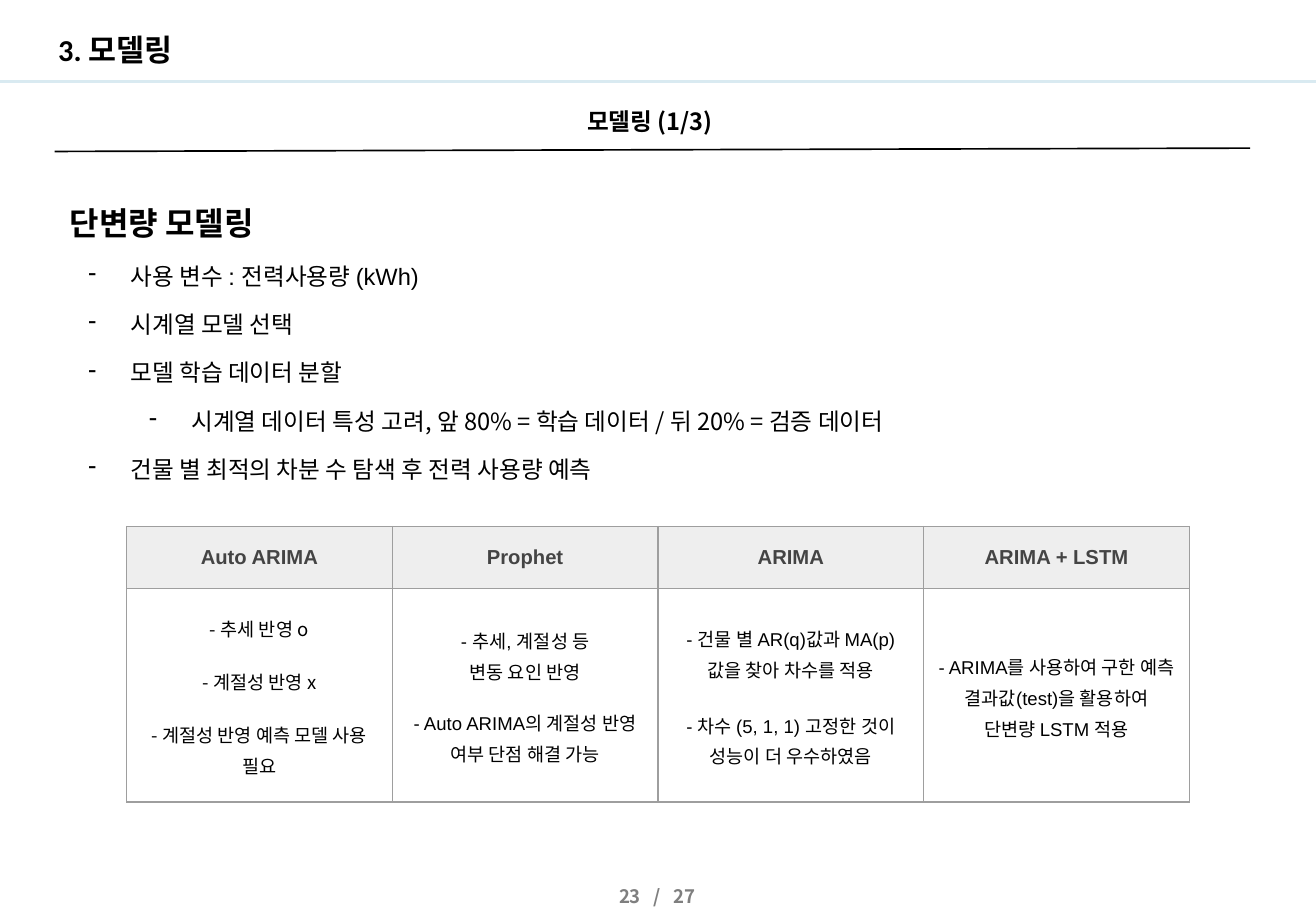
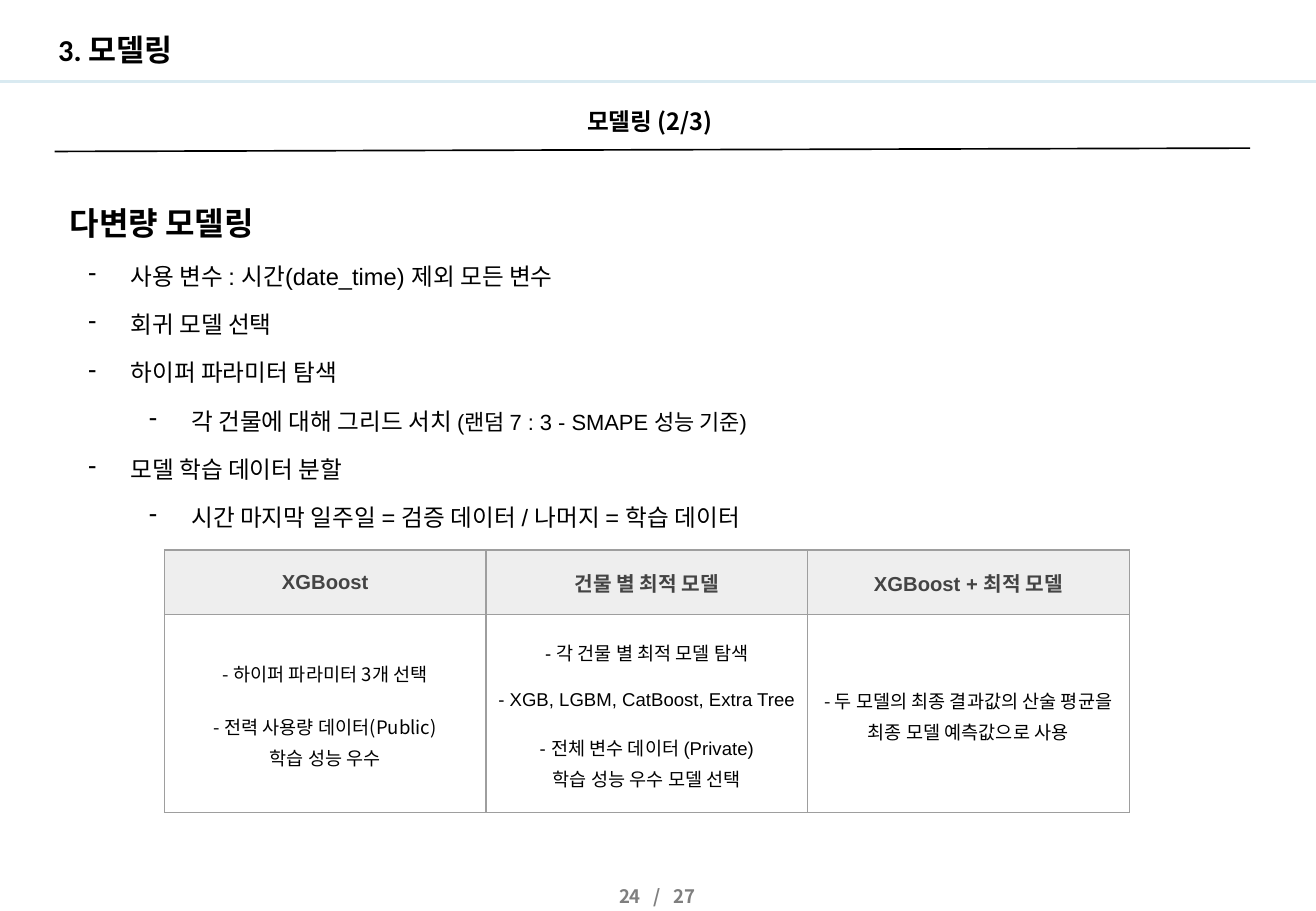
from copy import deepcopy
from dataclasses import dataclass, field
from itertools import product
from typing import NamedTuple

from lxml.etree import SubElement as Sub
from pptx import Presentation
from pptx.dml.color import RGBColor as RGB
from pptx.enum.shapes import MSO_CONNECTOR as Conn
from pptx.enum.text import MSO_ANCHOR as Anchor, PP_ALIGN as Align
from pptx.oxml.ns import qn
from pptx.util import Pt


# Theme: colours, fonts and type sizes
@dataclass(frozen=True)
class Theme:
    black: str = "000000"
    band: str = "D9EAF1"
    page: str = "7F7F7F"
    head: str = "444444"
    shade: str = "EEEEEE"
    grid: str = "9E9E9E"
    arial: str = "Arial"
    noto: str = "Noto Sans CJK KR"
    title: str = "Calibri"
    sizes: dict = field(default_factory=lambda: {
        "title": 18, "sub": 14, "topic": 19, "item": 14, "note": 13,
        "head": 12, "cell": 11, "page": 11})


T = Theme()
WIDE, HIGH = 780, 540
LAST = 27


# Text records
class Run(NamedTuple):
    text: str
    kind: str = "item"
    face: str = T.arial
    bold: bool = False
    ink: str = T.black
    track: int = 0


class Para(NamedTuple):
    runs: list[Run]
    lines: float = 1.0
    above: float = 0
    align: Align = Align.LEFT
    level: int = -1


class Box(NamedTuple):
    left: float
    top: float
    width: float
    height: float


class Grid(NamedTuple):
    left: float
    top: float
    col: float
    rows: tuple[float, float]
    heads: list[str]
    cells: list[list[Para]]


class Page(NamedTuple):
    num: int
    step: str
    topic: str
    items: list[Para]
    grid: Grid


def item(*runs: Run, level: int = 0) -> Para:
    return Para(list(runs), 1.7, level=level)


def cell(*texts: str, gap: float = 0, face: str = T.arial) -> list[Para]:
    return [Para([Run(text, "cell", face)], 1.15, gap if i else 0, Align.CENTER)
            for i, text in enumerate(texts)]


# Text writing
def put(obj, vals: dict) -> None:
    for name, val in vals.items():
        setattr(obj, name, val)


def add_run(para, run: Run) -> None:
    for i, text in enumerate(run.text.split("\n")):
        if i:
            para.add_line_break()
        bit = para.add_run()
        bit.text = text
        put(bit.font, {"name": run.face, "size": Pt(T.sizes[run.kind]),
                       "bold": run.bold})
        bit.font.color.rgb = RGB.from_string(run.ink)
        props = bit.font._element
        Sub(props, qn("a:ea"), typeface=T.noto)
        if run.track:
            props.set("spc", str(run.track))
        if i:
            para._p.findall(qn("a:br"))[-1].insert(0, deepcopy(props))


def add_dash(para, level: int) -> None:
    props = para._p.get_or_add_pPr()
    props.set("marL", str(Pt(36 * (level + 1))))
    props.set("indent", str(-Pt(25)))
    Sub(Sub(props, qn("a:buClr")), qn("a:srgbClr"), val=T.black)
    Sub(props, qn("a:buChar"), char="-")


def write(frame, paras: list[Para]) -> None:
    for i, plan in enumerate(paras):
        para = frame.add_paragraph() if i else frame.paragraphs[0]
        if plan.level >= 0:
            para.level = plan.level
            add_dash(para, plan.level)
        put(para, {"alignment": plan.align, "line_spacing": plan.lines,
                   "space_before": Pt(plan.above), "space_after": Pt(0)})
        for run in plan.runs:
            add_run(para, run)


def add_text(slide, box: Box, paras: list[Para], anchor: Anchor = Anchor.MIDDLE,
             side: float = 7.2, edge: float = 3.6) -> None:
    frame = slide.shapes.add_textbox(*map(Pt, box)).text_frame
    put(frame, {"word_wrap": True, "vertical_anchor": anchor,
                "margin_left": Pt(side), "margin_right": Pt(side),
                "margin_top": Pt(edge), "margin_bottom": Pt(edge)})
    write(frame, paras)


# Lines and tables
def add_line(slide, ends: tuple, ink: str, width: float) -> None:
    line = slide.shapes.add_connector(Conn.STRAIGHT, *map(Pt, ends))
    line.line.color.rgb = RGB.from_string(ink)
    line.line.width = Pt(width)
    Sub(line._element.spPr, qn("a:effectLst"))


def add_edges(box) -> None:
    props = box._tc.get_or_add_tcPr()
    for side in "LRTB":
        line = Sub(props, qn(f"a:ln{side}"), w=str(Pt(0.75)))
        Sub(Sub(line, qn("a:solidFill")), qn("a:srgbClr"), val=T.grid)


def add_grid(slide, grid: Grid) -> None:
    cols = len(grid.heads)
    size = Box(grid.left, grid.top, grid.col * cols, sum(grid.rows))
    table = slide.shapes.add_table(2, cols, *map(Pt, size)).table
    put(table, {"first_row": False, "horz_banding": False})
    for col in table.columns:
        col.width = Pt(grid.col)
    for row, high in zip(table.rows, grid.rows):
        row.height = Pt(high)
    heads = [[Para([Run(text, "head", bold=True, ink=T.head)], align=Align.CENTER)]
             for text in grid.heads]
    for (row, col), paras in zip(product(range(2), range(cols)), heads + grid.cells):
        box = table.cell(row, col)
        add_edges(box)
        if row:
            box.fill.background()
        else:
            box.fill.solid()
            box.fill.fore_color.rgb = RGB.from_string(T.shade)
        put(box, {"vertical_anchor": Anchor.MIDDLE}
            | {f"margin_{side}": Pt(7.2) for side in ("left", "right", "top", "bottom")})
        write(box.text_frame, paras)


# Frame found on every slide
def add_frame(slide, page: Page) -> None:
    add_line(slide, (0, 48.3, WIDE, 48.3), T.band, 2)
    marks = [Run(text, "page", T.noto, True, T.page, 0 if text.strip() else 490)
             for text in (str(page.num), " ", "/", " ", str(LAST))]
    add_text(slide, Box(332, 518.4, 115, 18),
             [Para(marks, 1.2, align=Align.CENTER)], Anchor.TOP)
    add_line(slide, (32.4, 89.8, 741, 87.8), T.black, 1)
    add_text(slide, Box(232.7, 57.6, 305.3, 24.5),
             [Para([Run(f"모델링 ({page.step})", "sub", T.noto, True)], 1.2,
                   align=Align.CENTER)])
    add_text(slide, Box(27.4, 16.6, 363, 28),
             [Para([Run("3. 모델링", "title", T.title, True)], 0.9)])


def add_page(deck, page: Page) -> None:
    slide = deck.slides.add_slide(deck.slide_layouts[6])
    add_frame(slide, page)
    topic = Para([Run(page.topic, "topic", bold=True)], 1.7)
    add_text(slide, Box(32.4, 95.8, 708.5, 189), [topic, *page.items],
             Anchor.TOP, 9, 9)
    add_grid(slide, page.grid)


# Content
PAGES = [
    Page(23, "1/3", "단변량 모델링", [
        item(Run("사용 변수 : 전력사용량 (kWh)")),
        item(Run("시계열 모델 선택")),
        item(Run("모델 학습 데이터 분할")),
        item(Run("시계열 데이터 특성 고려, 앞 80% = 학습 데이터 / 뒤 20% = 검증 데이터",
                 face=T.noto), level=1),
        item(Run("건물 별 최적의 차분 수 탐색 후 전력 사용량 예측", face=T.noto)),
    ], Grid(75, 312, 157.5, (36.7, 126.7),
            ["Auto ARIMA", "Prophet", "ARIMA", "ARIMA + LSTM"], [
        cell("- 추세 반영 o", "- 계절성 반영 x", "- 계절성 반영 예측 모델 사용 필요",
             gap=13, face=T.noto),
        cell("- 추세, 계절성 등\n변동 요인 반영",
             "- Auto ARIMA의 계절성 반영 여부 단점 해결 가능", gap=12),
        cell("- 건물 별 AR(q)값과 MA(p)값을 찾아 차수를 적용",
             "- 차수 (5, 1, 1) 고정한 것이 성능이 더 우수하였음", gap=14.5),
        cell("- ARIMA를 사용하여 구한 예측 결과값(test)을 활용하여\n단변량 LSTM 적용"),
    ])),
    Page(24, "2/3", "다변량 모델링", [
        item(Run("사용 변수 : 시간(date_time) 제외 모든 변수")),
        item(Run("회귀 모델 선택")),
        item(Run("하이퍼 파라미터 탐색")),
        item(Run("각 건물에 대해 그리드 서치"),
             Run(" (랜덤 7 : 3 - SMAPE 성능 기준)", "note"), level=1),
        item(Run("모델 학습 데이터 분할")),
        item(Run("시간 마지막 일주일 = 검증 데이터 / 나머지 = 학습 데이터"), level=1),
    ], Grid(97.5, 326, 190.6, (38.2, 117.6),
            ["XGBoost", "건물 별 최적 모델", "XGBoost + 최적 모델"], [
        cell("- 하이퍼 파라미터 3개 선택", "- 전력 사용량 데이터(Public)\n학습 성능 우수",
             gap=13, face=T.noto),
        cell("- 각 건물 별 최적 모델 탐색", "- XGB, LGBM, CatBoost, Extra Tree",
             "- 전체 변수 데이터 (Private)\n학습 성능 우수 모델 선택", gap=12),
        [Para([Run("- ", "cell", T.noto),
               Run("두 모델의 최종 결과값의 산술 평균을 최종 모델 예측값으로 사용", "cell")],
              1.15, align=Align.CENTER)],
    ])),
]


def main() -> None:
    deck = Presentation()
    put(deck, {"slide_width": Pt(WIDE), "slide_height": Pt(HIGH)})
    for page in PAGES:
        add_page(deck, page)
    deck.save("out.pptx")


if __name__ == "__main__":
    main()
